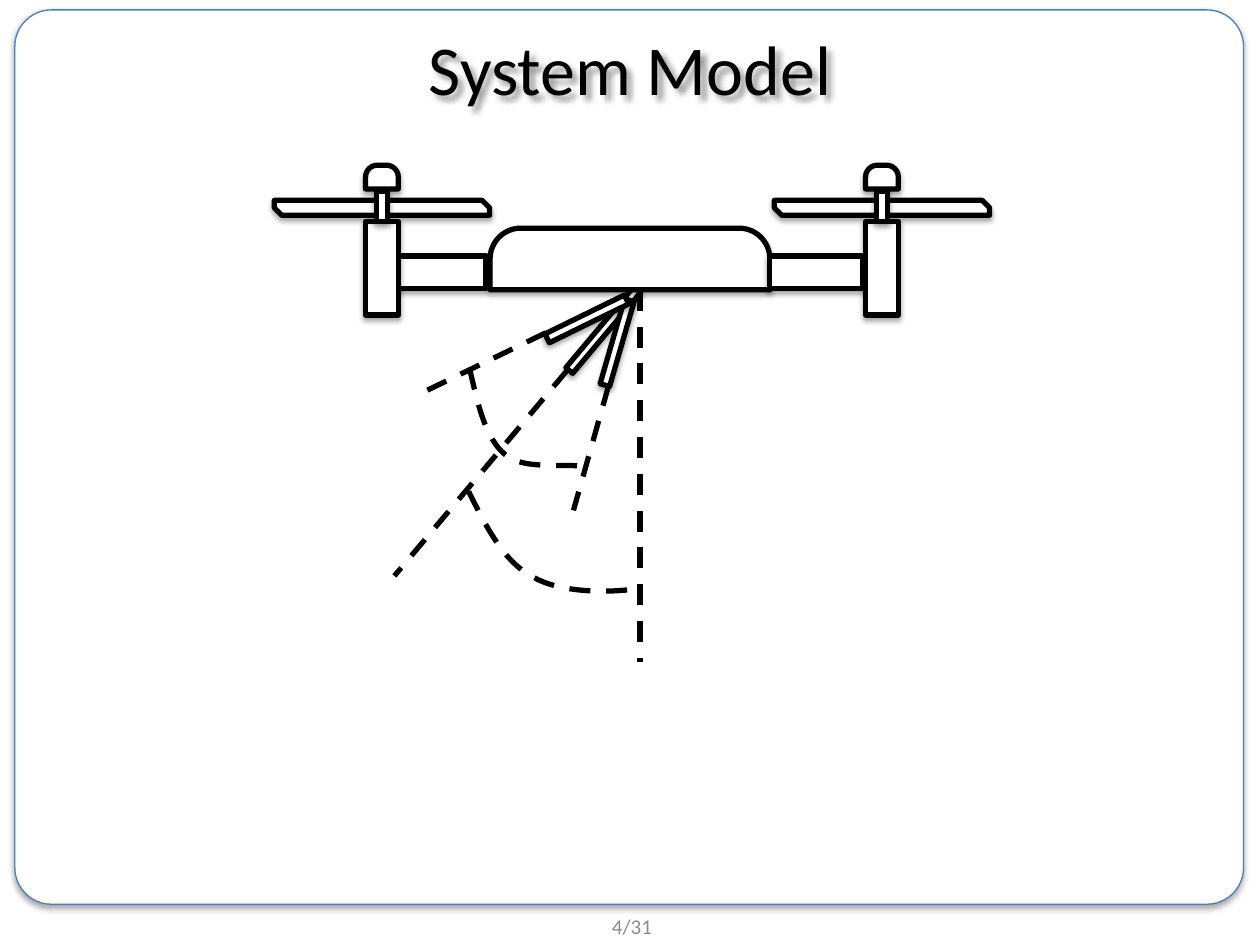
"""Build the System Model slide with a drone and its camera angles."""
from lxml.etree import SubElement
from pptx import Presentation
from pptx.dml.color import RGBColor
from pptx.enum.dml import MSO_LINE
from pptx.enum.shapes import MSO_CONNECTOR, MSO_SHAPE as SHAPE
from pptx.enum.text import MSO_ANCHOR, PP_ALIGN
from pptx.oxml.ns import qn
from pptx.util import Cm, Pt

color = RGBColor.from_string


def cast_shadow(shape, blur, distance, degrees, opacity):
    effects = SubElement(shape.element.spPr, qn("a:effectLst"))
    shadow = SubElement(effects, qn("a:outerShdw"), blurRad=str(Pt(blur)),
                        dist=str(Pt(distance)), dir=str(degrees * 60000),
                        rotWithShape="0")
    black = SubElement(shadow, qn("a:srgbClr"), val="000000")
    SubElement(black, qn("a:alpha"), val=str(opacity * 1000))


def add_part(parent, kind, box, angle=0, adjustments=(), line="000000", width=3):
    part = parent.shapes.add_shape(kind, *[Cm(v) for v in box])
    part.rotation = angle
    for index, value in enumerate(adjustments):
        part.adjustments[index] = value
    part.fill.solid()
    part.fill.fore_color.rgb = color("FFFFFF")
    part.line.color.rgb = color(line)
    part.line.width = Pt(width)
    cast_shadow(part, 3.1, 1.8, 90, 35)
    return part


prs = Presentation()
prs.slide_width, prs.slide_height = Cm(25.4), Cm(19.05)
slide = prs.slides.add_slide(prs.slide_layouts[6])

add_part(slide, SHAPE.ROUNDED_RECTANGLE, (0.3, 0.2, 24.77, 18.03),
         adjustments=[0.041], line="4B7EBC", width=0.75)

captions = []
for text, box, size, ink in [
    ("4/31", (9.78, 18.31, 5.92, 0.74), 12, "8C8C8C"),
    ("System Model", (0.33, 0, 24.74, 2.74), 40, "000000"),
]:
    caption = slide.shapes.add_textbox(*[Cm(v) for v in box])
    frame = caption.text_frame
    frame.word_wrap = True
    frame.vertical_anchor = MSO_ANCHOR.MIDDLE
    frame.text = text
    paragraph = frame.paragraphs[0]
    paragraph.alignment = PP_ALIGN.CENTER
    font = paragraph.runs[0].font
    font.size = Pt(size)
    font.name = "Calibri"
    font.color.rgb = color(ink)
    captions.append(caption)
cast_shadow(captions[1], 3, 3, 45, 40)

camera = slide.shapes.add_group_shape()
for box, angle in [
    ((12.07, 5.59, 0.18, 2.13), 40),
    ((12.34, 6.02, 0.2, 1.78), 16.1),
    ((11.73, 5.54, 0.2, 1.78), 63.9),
]:
    add_part(camera, SHAPE.RECTANGLE, box, angle)

add_part(slide, SHAPE.ROUND_2_SAME_RECTANGLE, (9.88, 4.6, 5.64, 1.24),
         adjustments=[0.5, 0])
for arm_left, rotor_center in [(15.52, 17.78), (7.92, 7.7)]:
    add_part(slide, SHAPE.RECTANGLE, (arm_left, 5.16, 1.88, 0.66))
    rotor = slide.shapes.add_group_shape()
    for kind, top, width, height, angle, adjustments in [
        (SHAPE.RECTANGLE, 5.08, 1.88, 0.66, 90, []),
        (SHAPE.ROUND_2_SAME_RECTANGLE, 3.33, 0.66, 0.48, 0, [0.5, 0]),
        (SHAPE.SNIP_2_DIAG_RECTANGLE, 4.04, 4.34, 0.3, 0, [0, 0.5]),
        (SHAPE.RECTANGLE, 3.86, 0.23, 0.61, 0, []),
    ]:
        add_part(rotor, kind, (rotor_center - width / 2, top, width, height),
                 angle, adjustments)

dashed = []
for parent, ends in [
    (camera, (11, 6.71, 8.38, 7.98)),
    (camera, (12.27, 7.77, 11.56, 10.29)),
    (slide, (11.43, 7.47, 7.95, 11.61)),
    (slide, (12.9, 5.84, 12.9, 13.34)),
]:
    dashed.append(parent.shapes.add_connector(
        MSO_CONNECTOR.STRAIGHT, *[Cm(v) for v in ends]))

STEPS = 16
for parent, controls in [
    (camera, [(9.47, 7.44), (9.63, 8.13), (9.78, 8.84), (10.19, 9.17),
              (10.57, 9.5), (11.51, 9.32), (11.81, 9.42)]),
    (slide, [(9.45, 9.91), (9.8, 10.62), (10.16, 11.33), (10.74, 11.63),
             (11.3, 11.96), (12.29, 11.96), (12.9, 11.86)]),
]:
    points = [tuple(Cm(v) for v in controls[0])]
    for first in (0, 3):
        for step in range(1, STEPS + 1):
            t = step / STEPS
            weights = ((1 - t) ** 3, 3 * t * (1 - t) ** 2, 3 * t * t * (1 - t), t ** 3)
            points.append(tuple(
                Cm(sum(w * c[axis] for w, c in zip(weights, controls[first:first + 4])))
                for axis in (0, 1)))
    builder = parent.shapes.build_freeform(*points[0])
    builder.add_line_segments(points[1:], close=False)
    angle_arc = builder.convert_to_shape()
    angle_arc.fill.background()
    dashed.append(angle_arc)

for stroke in dashed:
    stroke.line.color.rgb = color("000000")
    stroke.line.width = Pt(3)
    stroke.line.dash_style = MSO_LINE.DASH
    SubElement(stroke.element.spPr, qn("a:effectLst"))

prs.save("out.pptx")
